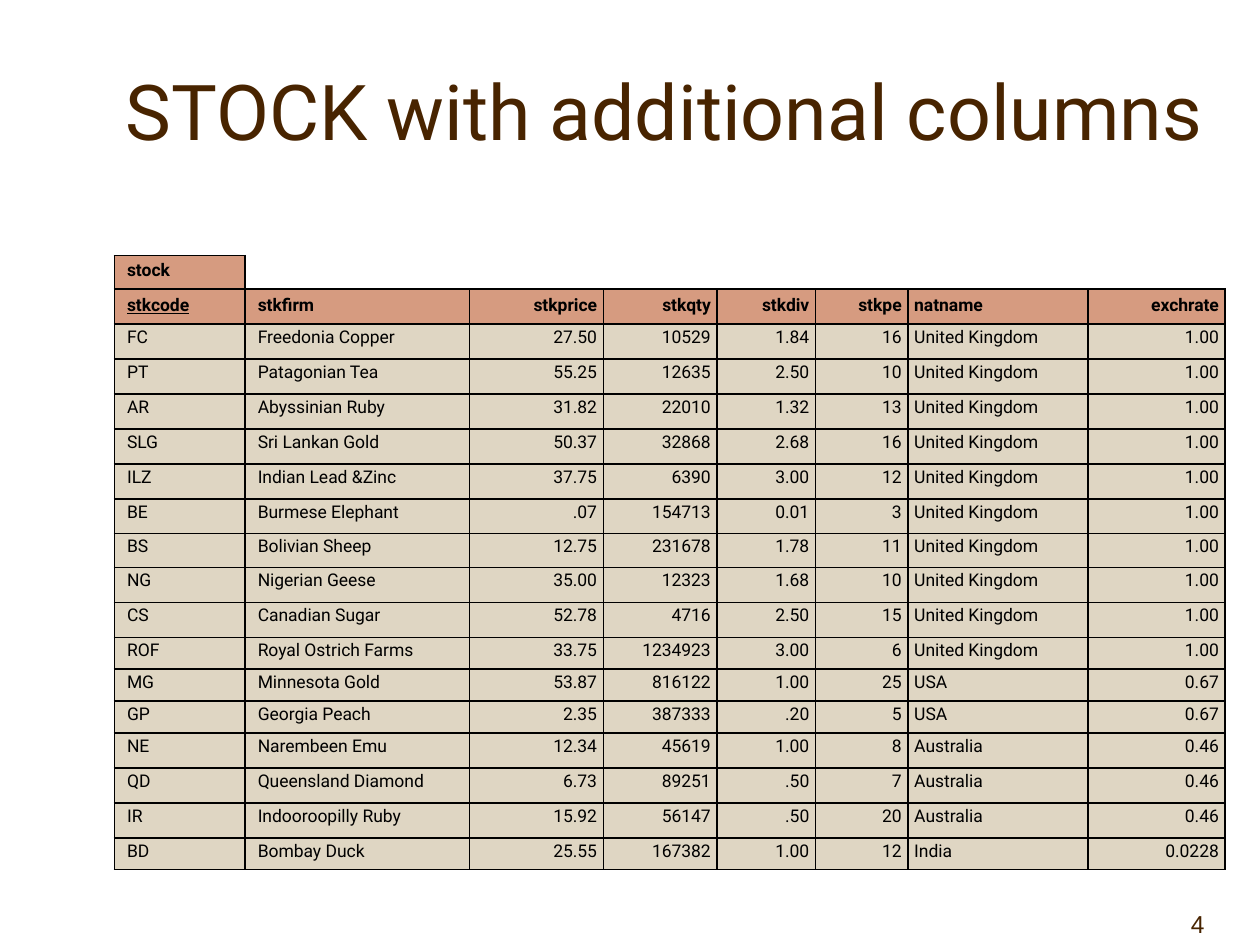
import pptx
import pptx.util
import pptx.oxml
import pptx.oxml.ns
import pptx.dml.color
import pptx.enum.text

Pt = pptx.util.Pt
align = pptx.enum.text.PP_ALIGN
anchor = pptx.enum.text.MSO_ANCHOR
hues = {"brown": "482400", "head": "D69B80", "body": "DFD6C3", "line": "000000"}


def style(para, text, hue, look, form):
    """Fill a paragraph with one run and format both."""
    run = para.add_run()
    run.text = text
    for name, value in look.items():
        setattr(run.font, name, value)
    run.font.color.rgb = pptx.dml.color.RGBColor.from_string(hues[hue])
    for name, value in form.items():
        setattr(para, name, value)


def edge(cell, sides):
    """Rule the given sides of a cell and clear the others."""
    props = cell._tc.get_or_add_tcPr()
    for side in "LRTB":
        paint = "<a:noFill/>"
        if side in sides:
            paint = f'<a:solidFill><a:srgbClr val="{hues["line"]}"/></a:solidFill>'
        space = pptx.oxml.ns.nsdecls("a")
        props.append(pptx.oxml.parse_xml(
            f'<a:ln{side} {space} w="12700">{paint}</a:ln{side}>'))


deck = pptx.Presentation()
deck.slide_width, deck.slide_height = Pt(720), Pt(540)
slide = deck.slides.add_slide(deck.slide_layouts[6])

# Page number and title
labels = [
    ("4", (648.7, 504, 71.3, 36), anchor.BOTTOM, "Arial", 14),
    ("STOCK with additional columns", (63.4, 30.2, 632.9, 64.8),
     anchor.MIDDLE, "Roboto", 44),
]
for text, place, hold, face, size in labels:
    frame = slide.shapes.add_textbox(*map(Pt, place)).text_frame
    frame.word_wrap = True
    frame.vertical_anchor = hold
    style(frame.paragraphs[0], text, "brown",
          {"name": face, "size": Pt(size)}, {"alignment": align.CENTER})

# Stock records
heads = ["stkcode", "stkfirm", "stkprice", "stkqty", "stkdiv", "stkpe",
         "natname", "exchrate"]
stocks = """FC|Freedonia Copper|27.50|10529|1.84|16
PT|Patagonian Tea|55.25|12635|2.50|10
AR|Abyssinian Ruby|31.82|22010|1.32|13
SLG|Sri Lankan Gold|50.37|32868|2.68|16
ILZ|Indian Lead &Zinc|37.75|6390|3.00|12
BE|Burmese Elephant|.07|154713|0.01|3
BS|Bolivian Sheep|12.75|231678|1.78|11
NG|Nigerian Geese|35.00|12323|1.68|10
CS|Canadian Sugar|52.78|4716|2.50|15
ROF|Royal Ostrich Farms|33.75|1234923|3.00|6
MG|Minnesota Gold|53.87|816122|1.00|25
GP|Georgia Peach|2.35|387333|.20|5
NE|Narembeen Emu|12.34|45619|1.00|8
QD|Queensland Diamond|6.73|89251|.50|7
IR|Indooroopilly Ruby|15.92|56147|.50|20
BD|Bombay Duck|25.55|167382|1.00|12""".splitlines()
lands = ([["United Kingdom", "1.00"]] * 10 + [["USA", "0.67"]] * 2
         + [["Australia", "0.46"]] * 3 + [["India", "0.0228"]])
rows = [["stock"] + [""] * 7, heads]
rows += [stock.split("|") + land for stock, land in zip(stocks, lands)]

# Table grid
wides = [74.7, 128.2, 76.5, 65, 56.3, 52.8, 103, 78.3]
highs = [18.9] + [20] * 6 + [19.7, 19.4] + [20] * 2 + [18.2] * 3 + [20] * 3 + [18.2]
table = slide.shapes.add_table(
    len(rows), len(wides), Pt(65.4), Pt(146), Pt(sum(wides)), Pt(sum(highs))).table
table.first_row = table.horz_banding = False
for col, wide in zip(table.columns, wides):
    col.width = Pt(wide)
for row, high in zip(table.rows, highs):
    row.height = Pt(high)

# Table cells
for r, words in enumerate(rows):
    for c, text in enumerate(words):
        cell = table.cell(r, c)
        para = cell.text_frame.paragraphs[0]
        if c > 1:
            cell.margin_left = cell.margin_right = Pt(3.6)
        if not text:
            edge(cell, "LB" if c == 1 else "B")
            cell.fill.background()
            para._p.append(pptx.oxml.parse_xml(
                f'<a:endParaRPr {pptx.oxml.ns.nsdecls("a")} sz="1000">'
                '<a:latin typeface="Roboto"/></a:endParaRPr>'))
            continue
        edge(cell, "LRTB")
        cell.fill.solid()
        cell.fill.fore_color.rgb = pptx.dml.color.RGBColor.from_string(
            hues["head" if r < 2 else "body"])
        look = {"name": "Roboto", "size": Pt(10), "bold": r < 2,
                "underline": text == "stkcode"}
        form = {"alignment": align.LEFT if c in (0, 1, 6) else align.RIGHT,
                "line_spacing": {0: 0.88, 1: 1.0}.get(r, 0.8),
                "space_before": Pt(5)}
        style(para, text, "line", look, form)

deck.save("out.pptx")
